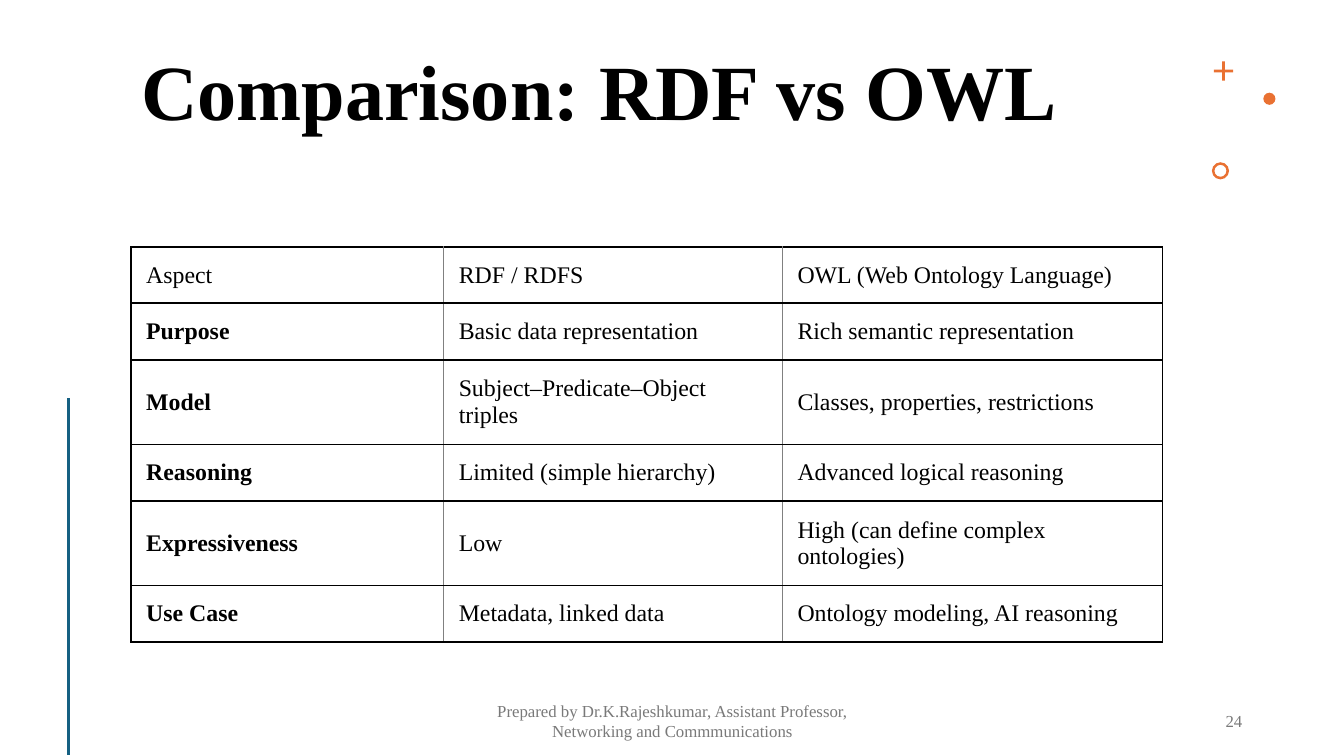
from lxml import etree
from pptx import Presentation
from pptx.dml.color import RGBColor
from pptx.enum.shapes import MSO_CONNECTOR, MSO_SHAPE
from pptx.enum.text import MSO_ANCHOR, MSO_AUTO_SIZE, PP_ALIGN
from pptx.oxml.ns import qn
from pptx.util import Inches, Pt

TOP, MIDDLE = MSO_ANCHOR.TOP, MSO_ANCHOR.MIDDLE
LEFT, CENTER, RIGHT = PP_ALIGN.LEFT, PP_ALIGN.CENTER, PP_ALIGN.RIGHT
CROSS, OVAL, DONUT = MSO_SHAPE.CROSS, MSO_SHAPE.OVAL, MSO_SHAPE.DONUT
STRAIGHT = MSO_CONNECTOR.STRAIGHT
NO_AUTOFIT = MSO_AUTO_SIZE.NONE

COLORS = {"ink": "000000", "grid": "808080", "muted": "797979",
          "accent": "E97132", "rule": "156082"}
FONT = "Times New Roman"

COMPARISON = [
    ("Aspect", "RDF / RDFS", "OWL (Web Ontology Language)"),
    ("Purpose", "Basic data representation", "Rich semantic representation"),
    ("Model", "Subject–Predicate–Object triples", "Classes, properties, restrictions"),
    ("Reasoning", "Limited (simple hierarchy)", "Advanced logical reasoning"),
    ("Expressiveness", "Low", "High (can define complex ontologies)"),
    ("Use Case", "Metadata, linked data", "Ontology modeling, AI reasoning"),
]
COLUMN_WIDTHS = (3.1, 3.36, 3.77)
ROW_HEIGHTS = (0.56, 0.56, 0.84, 0.56, 0.84, 0.56)
CELL_FORMAT = {"vertical_anchor": MIDDLE, "margin_left": Inches(0.15),
               "margin_right": Inches(0.12), "margin_top": Inches(0.12),
               "margin_bottom": Inches(0.12)}


def apply(target, values):
    for name, value in values.items():
        setattr(target, name, value)


def box(left, top, width, height):
    return dict(zip(("left", "top", "width", "height"),
                    map(Inches, (left, top, width, height))))


class ComparisonSlide:
    def __init__(self, deck):
        self.slide = deck.slides.add_slide(deck.slide_layouts[5])
        self.shapes = self.slide.shapes

    def set_text(self, frame, text, size, color="ink", bold=False, align=LEFT):
        frame.text = text
        paragraph = frame.paragraphs[0]
        paragraph.alignment = align
        font = paragraph.runs[0].font
        apply(font, {"name": FONT, "size": Pt(size), "bold": bold})
        font.color.rgb = RGBColor.from_string(COLORS[color])
        return paragraph

    def title(self, text, place):
        heading = self.shapes.title
        apply(heading, place)
        apply(heading.text_frame, {"word_wrap": True, "auto_size": NO_AUTOFIT,
                                   "vertical_anchor": TOP, "margin_top": Inches(0.11)})
        self.set_text(heading.text_frame, text, 55.8, bold=True).line_spacing = 0.9

    def footer(self, text, place, align):
        frame = self.shapes.add_textbox(**place).text_frame
        apply(frame, {"word_wrap": True, "vertical_anchor": MIDDLE})
        self.set_text(frame, text, 12, "muted", align=align)

    def ornament(self, kind, place, adjustment=None):
        mark = self.shapes.add_shape(kind, **place)
        mark.shadow.inherit = False
        mark.fill.solid()
        mark.fill.fore_color.rgb = RGBColor.from_string(COLORS["accent"])
        mark.line.fill.background()
        if adjustment is not None:
            mark.adjustments[0] = adjustment

    def rule(self, x, top, bottom):
        line = self.shapes.add_connector(STRAIGHT, *map(Inches, (x, top, x, bottom)))
        line.line.color.rgb = RGBColor.from_string(COLORS["rule"])
        line.line.width = Pt(2)
        etree.SubElement(line._element.spPr, qn("a:effectLst"))

    def borders(self, cell, sides):
        """Draw (side, colour, points) borders, given in the order L, R, T, B."""
        properties = cell._tc.get_or_add_tcPr()
        for position, (side, color, points) in enumerate(sides):
            edge = etree.Element(qn(f"a:ln{side}"), w=str(Pt(points)))
            fill = etree.SubElement(edge, qn("a:solidFill"))
            etree.SubElement(fill, qn("a:srgbClr"), val=COLORS[color])
            properties.insert(position, edge)

    def table(self, rows, place):
        grid = self.shapes.add_table(len(rows), len(rows[0]), **place).table
        apply(grid, {"first_row": False, "horz_banding": False})
        for column, width in zip(grid.columns, COLUMN_WIDTHS):
            column.width = Inches(width)
        for row, height in zip(grid.rows, ROW_HEIGHTS):
            row.height = Inches(height)
        outer, inner = ("ink", 1.5), ("grid", 0.5)
        last = len(rows[0]) - 1
        for r, texts in enumerate(rows):
            for c, text in enumerate(texts):
                cell = grid.cell(r, c)
                apply(cell, CELL_FORMAT)
                cell.fill.background()
                self.set_text(cell.text_frame, text, 17, bold=r > 0 and c == 0)
                self.borders(cell, [("L", *(outer if c == 0 else inner)),
                                    ("R", *(outer if c == last else inner)),
                                    ("T", *outer), ("B", *outer)])


def main():
    deck = Presentation()
    deck.slide_width, deck.slide_height = Inches(13.33), Inches(7.5)
    page = ComparisonSlide(deck)
    page.title("Comparison: RDF vs OWL", box(1.3, 0.42, 10.23, 1.31))
    page.ornament(CROSS, box(12.04, 0.61, 0.19, 0.19), 0.43)
    page.ornament(OVAL, box(12.53, 0.92, 0.12, 0.12))
    page.ornament(DONUT, box(12.02, 1.61, 0.17, 0.17), 0.15)
    page.rule(0.68, 3.95, 7.49)
    page.table(COMPARISON, box(1.3, 2.45, sum(COLUMN_WIDTHS), sum(ROW_HEIGHTS)))
    page.footer("Prepared by Dr.K.Rajeshkumar, Assistant Professor, "
                "Networking and Commmunications", box(4.42, 6.95, 4.5, 0.4), CENTER)
    page.footer("24", box(9.42, 6.95, 3, 0.4), RIGHT)
    deck.save("out.pptx")


if __name__ == "__main__":
    main()
